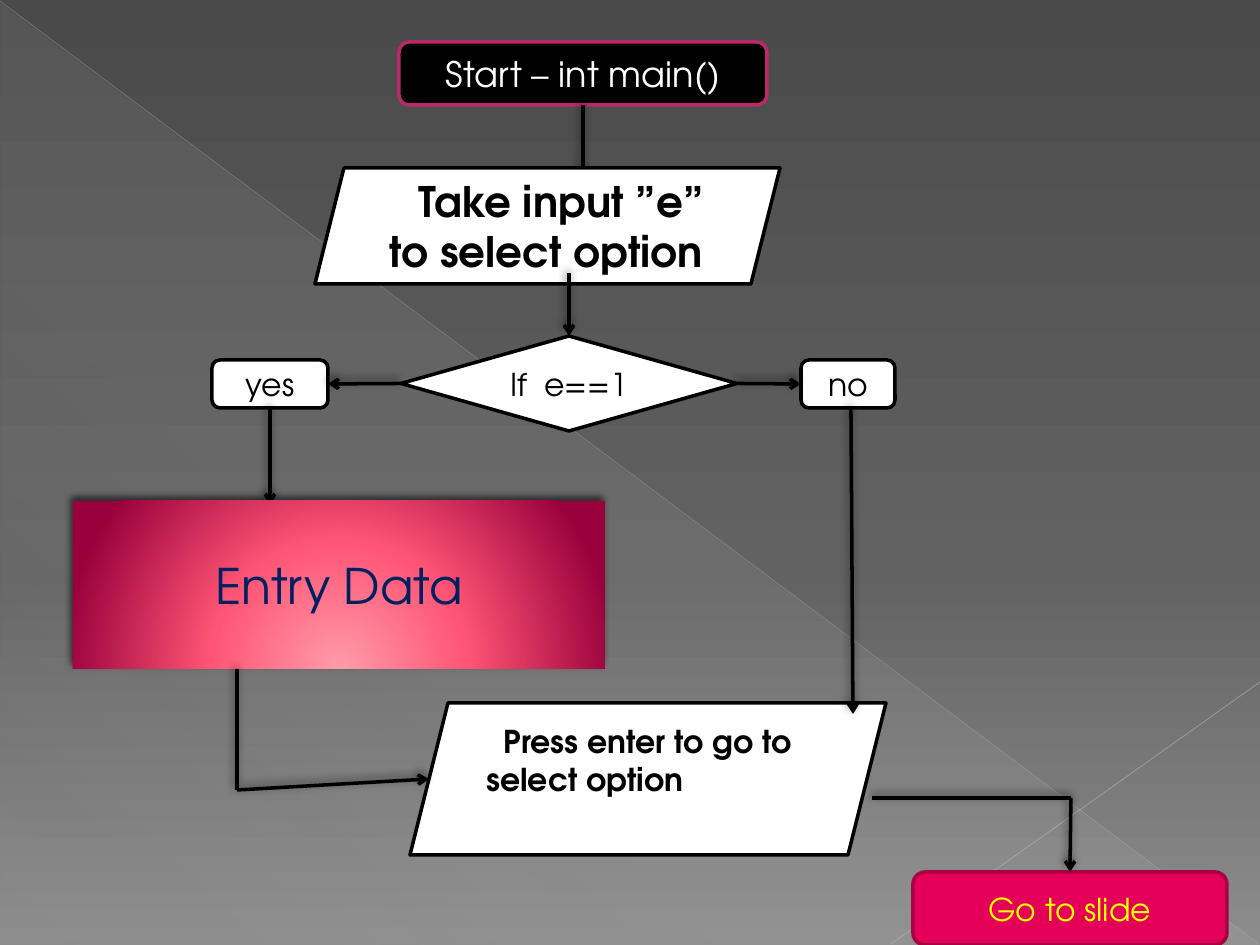
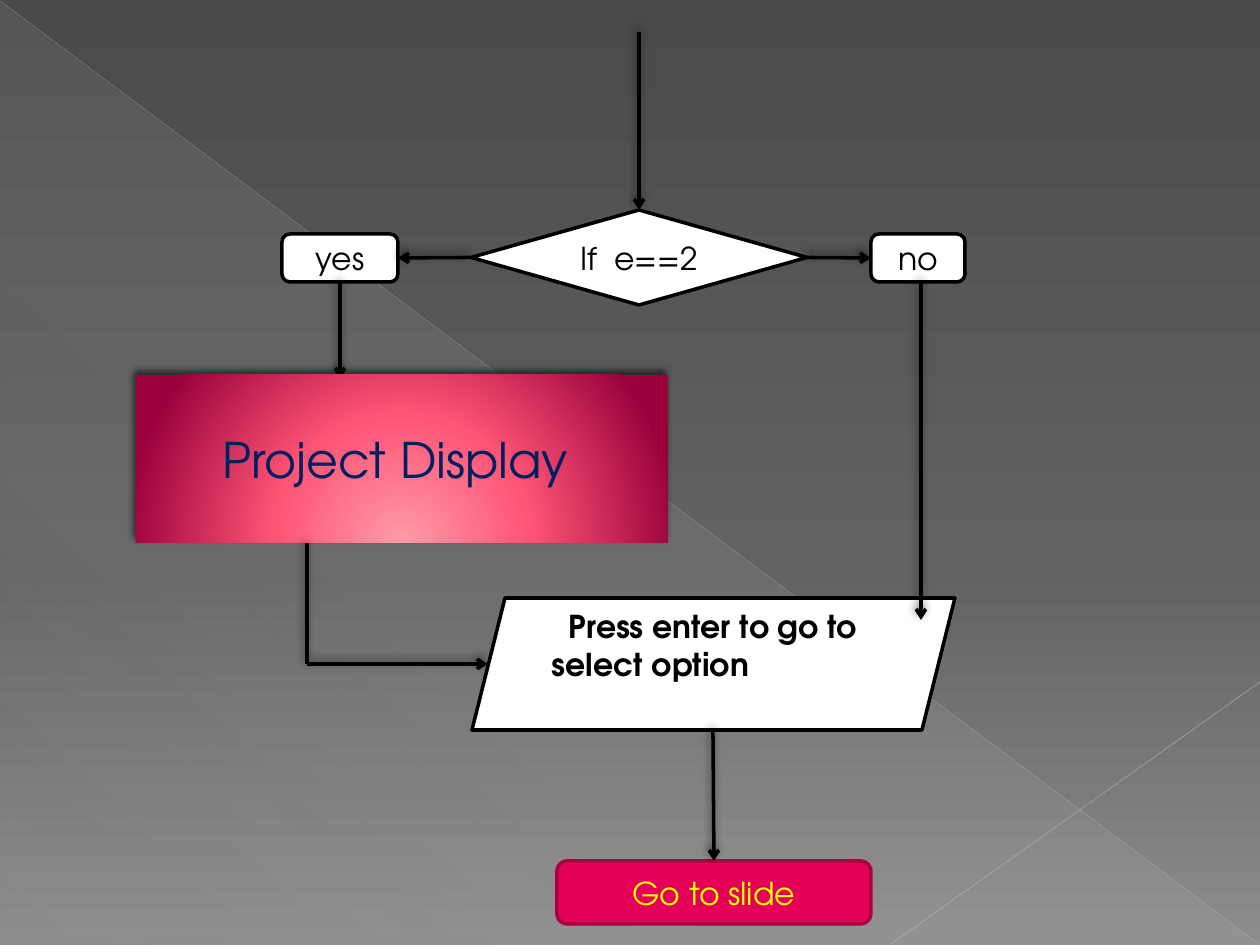
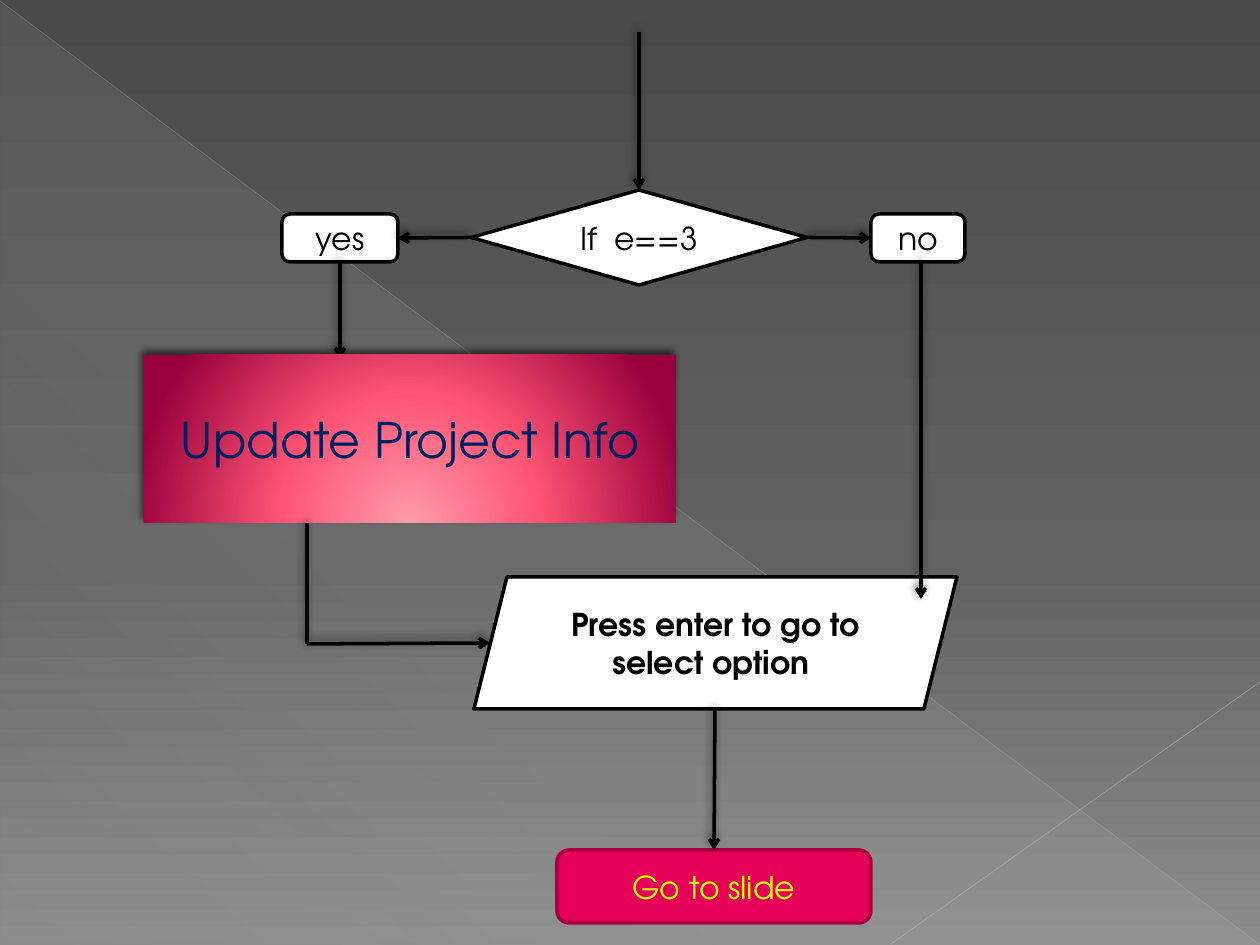
from lxml import etree
from pptx import Presentation
from pptx.dml.color import RGBColor
from pptx.enum.shapes import MSO_CONNECTOR, MSO_SHAPE
from pptx.enum.text import MSO_ANCHOR, PP_ALIGN
from pptx.oxml.ns import qn
from pptx.util import Pt

PX = 914400 // 126
STRAIGHT = MSO_CONNECTOR.STRAIGHT
ROUNDED, BOX = MSO_SHAPE.ROUNDED_RECTANGLE, MSO_SHAPE.RECTANGLE
SLANTED, DIAMOND = MSO_SHAPE.PARALLELOGRAM, MSO_SHAPE.FLOWCHART_DECISION
TRIANGLE = MSO_SHAPE.RIGHT_TRIANGLE
LEFT, CENTER, RIGHT = PP_ALIGN.LEFT, PP_ALIGN.CENTER, PP_ALIGN.RIGHT
MIDDLE = MSO_ANCHOR.MIDDLE
TOP_SIDE, LEFT_SIDE, BOTTOM_SIDE, RIGHT_SIDE = range(4)

FONT = "TeX Gyre Adventor"
COLORS = {
    "black": "000000", "white": "FFFFFF", "start edge": "BD2968",
    "task text": "002060", "go": "E40059", "go edge": "A90042",
    "go text": "FFFF00", "spark": "FF388C",
    "diagonal": "BFBFBF", "corner": "C6C6C6",
}
# Gradient stops: position %, colour, opacity %
BACKGROUND_STOPS = [(0, "4A4A4A", 100), (60, "626262", 100), (100, "8C8C8C", 100)]
SHEEN_STOPS = [(0, "D2D2D2", 10), (70, "D2D2D2", 8), (100, "D2D2D2", 1)]
TASK_STOPS = [(0, "FF9BA9", 100), (46, "FF5575", 100), (100, "99003C", 100)]
TASK_GLOW = {"l": 50, "t": 155, "r": 50, "b": -55}
# Shadows: opacity %, blur pt, distance pt
ARROW_SHADOW, TASK_SHADOW = (50, 5, 2), (60, 4, 3)

# Content; lengths in px
START = {"text": "Start – int main()", "at": (399, 42, 368, 63)}
INPUT = {"text": "Take input ”e” to select option", "at": (315, 168, 465, 116)}
PROMPT = "Press enter to go to select option"
CHOICES = [
    {"test": "If  e==1", "task": "Entry Data", "decision": (401, 336), "entry": 273,
     "task_left": 73, "task_exit": 237, "no_end": (853, 714),
     "prompt": PROMPT, "prompt_at": (410, 703, 476, 152), "prompt_inset": 21,
     "go_at": (913, 872, 314, 73), "detour": [(872, 798), (1071, 798)],
     "spark": (648, 857)},
    {"test": "If  e==2", "task": "Project Display ", "decision": (471, 210), "entry": 32,
     "task_left": 136, "task_exit": 307, "no_end": (921, 620),
     "prompt": PROMPT, "prompt_at": (472, 598, 483, 132), "prompt_inset": 26,
     "go_at": (557, 861, 314, 63), "spark": (713, 731)},
    {"test": "If  e==3", "task": "Update Project Info", "decision": (471, 190), "entry": 32,
     "task_left": 144, "task_exit": 307, "no_end": (921, 599),
     "prompt": PROMPT + " ", "prompt_at": (474, 577, 483, 132),
     "go_at": (557, 850, 314, 73)},
]


def rgb(name):
    return RGBColor.from_string(COLORS[name])


def add_xml(parent, tag, **attributes):
    child = etree.SubElement(parent, qn(tag))
    for key, value in attributes.items():
        child.set(key, str(value))
    return child


def set_gradient(fill, holder, stops, angle=None, glow=None):
    fill.gradient()
    gradient = next(holder.iter(qn("a:gradFill")))
    for child in list(gradient):
        gradient.remove(child)
    stop_list = add_xml(gradient, "a:gsLst")
    for position, color, opacity in stops:
        stop = add_xml(stop_list, "a:gs", pos=position * 1000)
        paint = add_xml(stop, "a:srgbClr", val=color)
        add_xml(paint, "a:alpha", val=opacity * 1000)
    if glow:
        circle = add_xml(gradient, "a:path", path="circle")
        add_xml(circle, "a:fillToRect", **{side: n * 1000 for side, n in glow.items()})
    else:
        add_xml(gradient, "a:lin", ang=angle * 60000, scaled=0)


def add_shadow(effects, opacity, blur, distance):
    shadow = add_xml(effects, "a:outerShdw", blurRad=Pt(blur), dist=Pt(distance),
                     dir=245 * 60000, algn="tl", rotWithShape=0)
    paint = add_xml(shadow, "a:srgbClr", val=COLORS["black"])
    add_xml(paint, "a:alpha", val=opacity * 1000)


def add_line(slide, start, end, color="black", width=2, arrow=True,
             shadow=ARROW_SHADOW, opacity=None):
    line = slide.shapes.add_connector(STRAIGHT, *(n * PX for n in (*start, *end)))
    line.line.width = Pt(width)
    line.line.color.rgb = rgb(color)
    if opacity:
        paint = next(line.element.spPr.iter(qn("a:srgbClr")))
        add_xml(paint, "a:alpha", val=opacity * 1000)
    if arrow:
        add_xml(line.element.spPr.find(qn("a:ln")), "a:tailEnd", type="arrow")
    effects = add_xml(line.element.spPr, "a:effectLst")
    if shadow:
        add_shadow(effects, *shadow)
    return line


def link(slide, source, source_side, target, target_side):
    line = add_line(slide, (0, 0), (0, 0))
    line.begin_connect(source, source_side)
    line.end_connect(target, target_side)


def add_node(slide, kind, at, text="", size=18, color="black", fill="white",
             edge="black", bold=False, align=CENTER):
    node = slide.shapes.add_shape(kind, *(n * PX for n in at))
    node.shadow.inherit = False
    if fill:
        node.fill.solid()
        node.fill.fore_color.rgb = rgb(fill)
    if edge:
        node.line.color.rgb = rgb(edge)
        node.line.width = Pt(2)
    else:
        node.line.fill.background()
    if text:
        frame = node.text_frame
        frame.text = text
        frame.word_wrap = True
        frame.vertical_anchor = MIDDLE
        frame.paragraphs[0].alignment = align
        font = frame.paragraphs[0].runs[0].font
        font.name, font.size, font.bold = FONT, Pt(size), bold
        font.color.rgb = rgb(color)
    return node


def decorate_master(prs, slide):
    """Give the master its background, sheen and two thin lines."""
    master = prs.slide_master
    set_gradient(master.background.fill, master.element, BACKGROUND_STOPS, angle=90)
    sheen = add_node(slide, TRIANGLE, (1, 3, 1258, 942), fill=None, edge=None)
    set_gradient(sheen.fill, sheen.element, SHEEN_STOPS, angle=133)
    diagonal = add_line(slide, (0, 1), (1259, 944), "diagonal", 0.39, False, None, 35)
    corner = add_line(slide, (1260, 682), (891, 944), "corner", 0.47, False, None, 45)
    for part in (sheen, diagonal, corner):
        master.shapes.element.append(part.element)


def draw_opening(slide):
    start = add_node(slide, ROUNDED, START["at"], START["text"], 20, "white",
                     "black", "start edge")
    line = add_line(slide, (583, 105), (583, 179))
    line.begin_connect(start, BOTTOM_SIDE)
    choose = add_node(slide, SLANTED, INPUT["at"], INPUT["text"], 24, bold=True, align=RIGHT)
    choose.text_frame.margin_right = 26 * PX


def draw_choice(slide, choice):
    # Decision with its two answers
    left, top = choice["decision"]
    decision = add_node(slide, DIAMOND, (left, top, 336, 95), choice["test"])
    entry = add_line(slide, (left + 168, choice["entry"]), (left + 168, top))
    entry.end_connect(decision, TOP_SIDE)
    yes = add_node(slide, ROUNDED, (left - 189, top + 24, 116, 48), "yes")
    no = add_node(slide, ROUNDED, (left + 400, top + 24, 94, 48), "no")
    link(slide, decision, LEFT_SIDE, yes, RIGHT_SIDE)
    link(slide, decision, RIGHT_SIDE, no, LEFT_SIDE)

    # Task under "yes"
    task_top = top + 165
    down = add_line(slide, (left - 131, top + 72), (left - 131, task_top + 4))
    down.begin_connect(yes, BOTTOM_SIDE)
    task = add_node(slide, BOX, (choice["task_left"], task_top, 532, 168),
                    choice["task"], 28, "task text", None, None)
    set_gradient(task.fill, task.element, TASK_STOPS, glow=TASK_GLOW)
    add_shadow(task.element.spPr.find(qn("a:effectLst")), *TASK_SHADOW)

    # Prompt where both answers meet
    x, y, width, height = choice["prompt_at"]
    inset = choice.get("prompt_inset")
    prompt = add_node(slide, SLANTED, choice["prompt_at"], choice["prompt"],
                      bold=True, align=LEFT if inset else CENTER)
    if inset:
        prompt.text_frame.margin_left = inset * PX
        prompt.text_frame.margin_bottom = 44 * PX
        properties = prompt.text_frame.paragraphs[0]._p.get_or_add_pPr()
        properties.set("marL", "0")
        properties.set("indent", str(17 * PX))
    exit_x, turn_y = choice["task_exit"], task_top + 168 + 121
    add_line(slide, (exit_x, turn_y), (x + height // 8, y + height // 2))
    add_line(slide, (exit_x, task_top + 168), (exit_x, turn_y), arrow=False)
    add_line(slide, (left + 450, top + 72), choice["no_end"])
    if "spark" in choice:
        add_line(slide, choice["spark"], choice["spark"], "spark", 0.75, shadow=None)

    # Way out
    go = add_node(slide, ROUNDED, choice["go_at"], "Go to slide", 18, "go text",
                  "go", "go edge")
    out_from = (x + width // 2, y + height)
    if "detour" in choice:
        add_line(slide, *choice["detour"], arrow=False)
        out_from = choice["detour"][-1]
    add_line(slide, out_from, out_from).end_connect(go, TOP_SIDE)


def main():
    prs = Presentation()
    prs.slide_width, prs.slide_height = 1260 * PX, 945 * PX
    for number, choice in enumerate(CHOICES):
        slide = prs.slides.add_slide(prs.slide_layouts[6])
        if number == 0:
            decorate_master(prs, slide)
            draw_opening(slide)
        draw_choice(slide, choice)
    prs.save("out.pptx")


if __name__ == "__main__":
    main()
